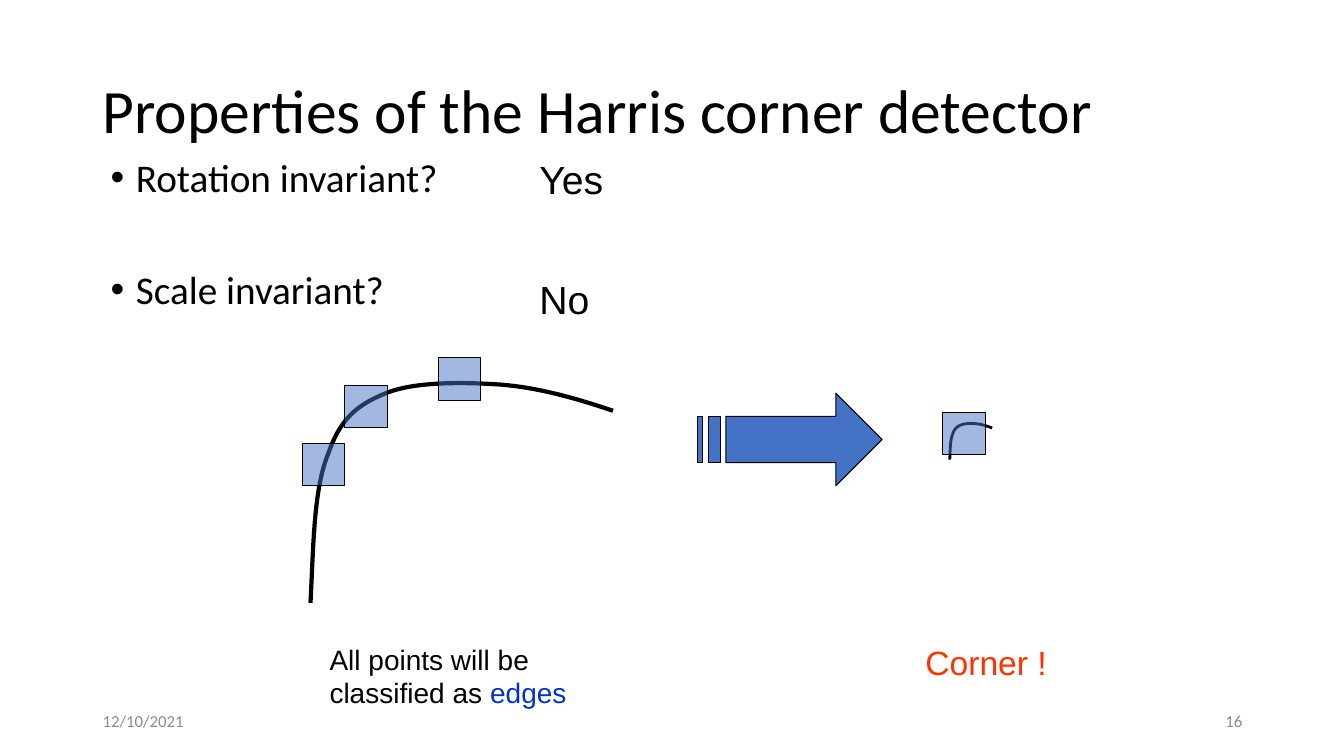
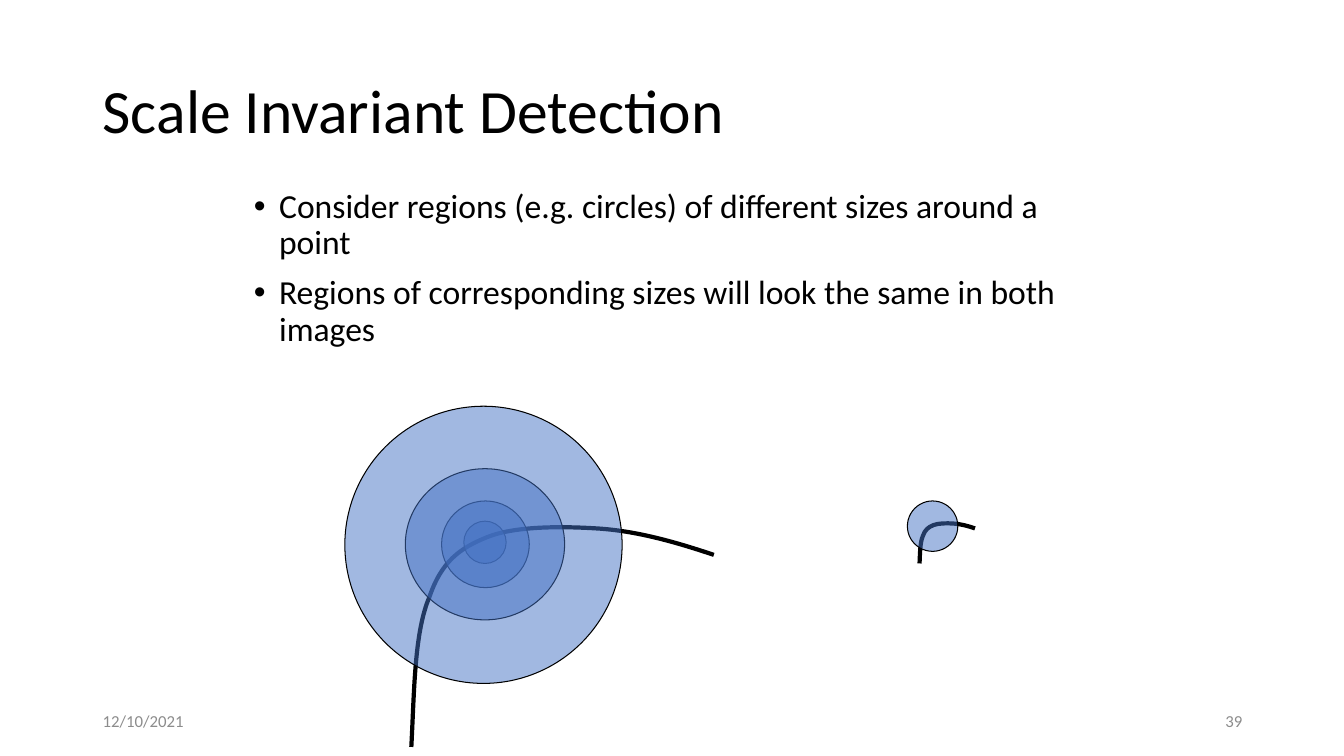
from lxml.etree import SubElement
from pptx import Presentation
from pptx.dml.color import RGBColor
from pptx.enum.shapes import MSO_SHAPE
from pptx.enum.text import MSO_ANCHOR, PP_ALIGN
from pptx.oxml.ns import qn
from pptx.util import Inches, Pt

COLORS = {"ink": "000000", "blue": "4472C4", "edge": "0033CC",
          "alert": "FF3300", "gray": "8C8C8C"}

# Bezier points of the corner curve, as shares of its width and height
CURVE = [(0, 1), (0.01, 0.74), (0.01, 0.48), (0.06, 0.32),
         (0.1, 0.16), (0.16, 0.1), (0.25, 0.05),
         (0.34, 0), (0.49, 0), (0.61, 0.01),
         (0.74, 0.02), (0.87, 0.07), (1, 0.13)]


class Deck:
    """Holds the shared style and the slide being drawn."""

    def __init__(self):
        self.prs = Presentation()
        self.prs.slide_width = Inches(13.33)
        self.prs.slide_height = Inches(7.5)

    def start(self, title, number):
        """Add a slide with its title, date and number."""
        layout = self.prs.slide_layouts[6]
        self.shapes = self.prs.slides.add_slide(layout).shapes
        mid = MSO_ANCHOR.MIDDLE
        self.text((0.92, 0.4, 11.5, 1.45), [(title, "ink")], 44, "Calibri",
                  mid, line_spacing=0.9)
        self.text((0.92, 6.95, 3, 0.4), [("12/10/2021", "gray")], 12,
                  "Calibri", mid)
        self.text((9.42, 6.95, 3, 0.4), [(number, "gray")], 12,
                  "Calibri", mid, alignment=PP_ALIGN.RIGHT)

    def frame(self, box, anchor=MSO_ANCHOR.TOP):
        frame = self.shapes.add_textbox(*map(Inches, box)).text_frame
        frame.word_wrap = True
        frame.vertical_anchor = anchor
        return frame

    def fill_para(self, para, runs, size, face, **style):
        """Write the coloured runs and apply the paragraph style."""
        for key, val in style.items():
            setattr(para, key, val)
        for words, color in runs:
            run = para.add_run()
            run.text = words
            for key, val in {"size": Pt(size), "name": face}.items():
                setattr(run.font, key, val)
            run.font.color.rgb = self.color(color)

    def text(self, box, runs, size, face="Arial", anchor=MSO_ANCHOR.TOP,
             **style):
        para = self.frame(box, anchor).paragraphs[0]
        self.fill_para(para, runs, size, face, **style)

    def bullets(self, box, items, size, gap):
        frame = self.frame(box)
        for i, item in enumerate(items):
            para = frame.add_paragraph() if i else frame.paragraphs[0]
            props = para._p.get_or_add_pPr()
            props.set("marL", str(Inches(0.25)))
            props.set("indent", str(Inches(-0.25)))
            SubElement(props, qn("a:buFont"), typeface="Arial")
            SubElement(props, qn("a:buChar"), char="•")
            self.fill_para(para, [(item, "ink")], size, "Calibri",
                           line_spacing=0.9, space_before=Pt(gap if i else 0))

    def color(self, name):
        return RGBColor.from_string(COLORS[name])

    def paint(self, shape, fill=None, width=0.75, alpha=None):
        shape.shadow.inherit = False
        shape.line.color.rgb = self.color("ink")
        shape.line.width = Pt(width)
        if not fill:
            shape.fill.background()
            return
        shape.fill.solid()
        shape.fill.fore_color.rgb = self.color(fill)
        if alpha:
            tone = shape._element.spPr.find(qn("a:solidFill"))[0]
            SubElement(tone, qn("a:alpha"), val=str(alpha * 1000))

    def region(self, kind, left, top, width, height):
        """Draw a half-clear window over the curve."""
        box = map(Inches, (left, top, width, height))
        self.paint(self.shapes.add_shape(kind, *box), "blue", alpha=50)

    def curve(self, left, top, width, height, line=3):
        spots = [(Inches(left + x * width), Inches(top + y * height))
                 for x, y in CURVE]
        pen = self.shapes.build_freeform(*spots[0])
        pen.add_line_segments(spots[1:], close=False)
        shape = pen.convert_to_shape()
        steps = list(shape._element.iter(qn("a:lnTo")))
        for i in range(0, len(steps), 3):
            # three straight steps become one Bezier arc
            arc = steps[i].makeelement(qn("a:cubicBezTo"))
            steps[i].addprevious(arc)
            for step in steps[i:i + 3]:
                arc.append(step[0])
                step.getparent().remove(step)
        self.paint(shape, width=line)

    def arrow(self, left, top, width, height):
        """Draw a right arrow with two stripes at its tail."""
        right, low = left + width, top + height
        mid, neck = top + height / 2, right - height / 2
        high, base = top + height / 4, low - height / 4
        head = [(neck, top), (neck, high), (left + 0.28, high),
                (left + 0.28, base), (neck, base), (neck, low), (right, mid)]
        bars = [[(left + a, high), (left + a, base),
                 (left + b, base), (left + b, high)]
                for a, b in ((0.11, 0.23), (0, 0.05))]
        pen = None
        for part in [head] + bars:
            spots = [(Inches(x), Inches(y)) for x, y in part]
            if pen:
                pen.move_to(*spots[0])
            else:
                pen = self.shapes.build_freeform(*spots[0])
            pen.add_line_segments(spots[1:], close=True)
        self.paint(pen.convert_to_shape(), "blue")


def harris(deck):
    deck.start("Properties of the Harris corner detector", "16")
    deck.bullets((1, 1.52, 8.5, 2.5),
                 ["Rotation invariant?", "Scale invariant?"], 28, 50)
    deck.curve(3.08, 3.79, 3, 2.19)
    for left, top in ((3, 4.4), (3.42, 3.82), (4.35, 3.55)):
        deck.region(MSO_SHAPE.RECTANGLE, left, top, 0.42, 0.42)
    deck.text((3.17, 6.32, 2.83, 0.77),
              [("All points will be classified as ", "ink"),
               ("edges", "edge")], 20)
    deck.curve(9.42, 4.2, 0.42, 0.36, 2)
    deck.region(MSO_SHAPE.RECTANGLE, 9.35, 4.09, 0.42, 0.42)
    deck.arrow(6.92, 3.9, 1.83, 0.92)
    deck.text((9.08, 6.32, 1.5, 0.5), [("Corner !", "alert")], 24)
    for word, top in (("Yes", 1.49), ("No", 2.68)):
        deck.text((5.25, top, 2.08, 0.57), [(word, "ink")], 28)


def scale(deck):
    deck.start("Scale Invariant Detection", "39")
    deck.bullets((2.42, 1.83, 8.5, 4.5), [
        "Consider regions (e.g. circles) of different sizes around a point",
        "Regions of corresponding sizes will look the same in both images",
    ], 24, 10)
    deck.curve(4.08, 5.22, 3, 2.19)
    for box in ((4.6, 5.17, 0.42, 0.42), (4.38, 4.97, 0.87, 0.86),
                (4.02, 4.65, 1.58, 1.5), (3.42, 4.03, 2.75, 2.75)):
        deck.region(MSO_SHAPE.OVAL, *box)
    deck.curve(9.12, 5.19, 0.55, 0.4)
    deck.region(MSO_SHAPE.OVAL, 9, 4.97, 0.5, 0.5)


def main():
    deck = Deck()
    harris(deck)
    scale(deck)
    deck.prs.save("out.pptx")


if __name__ == "__main__":
    main()
